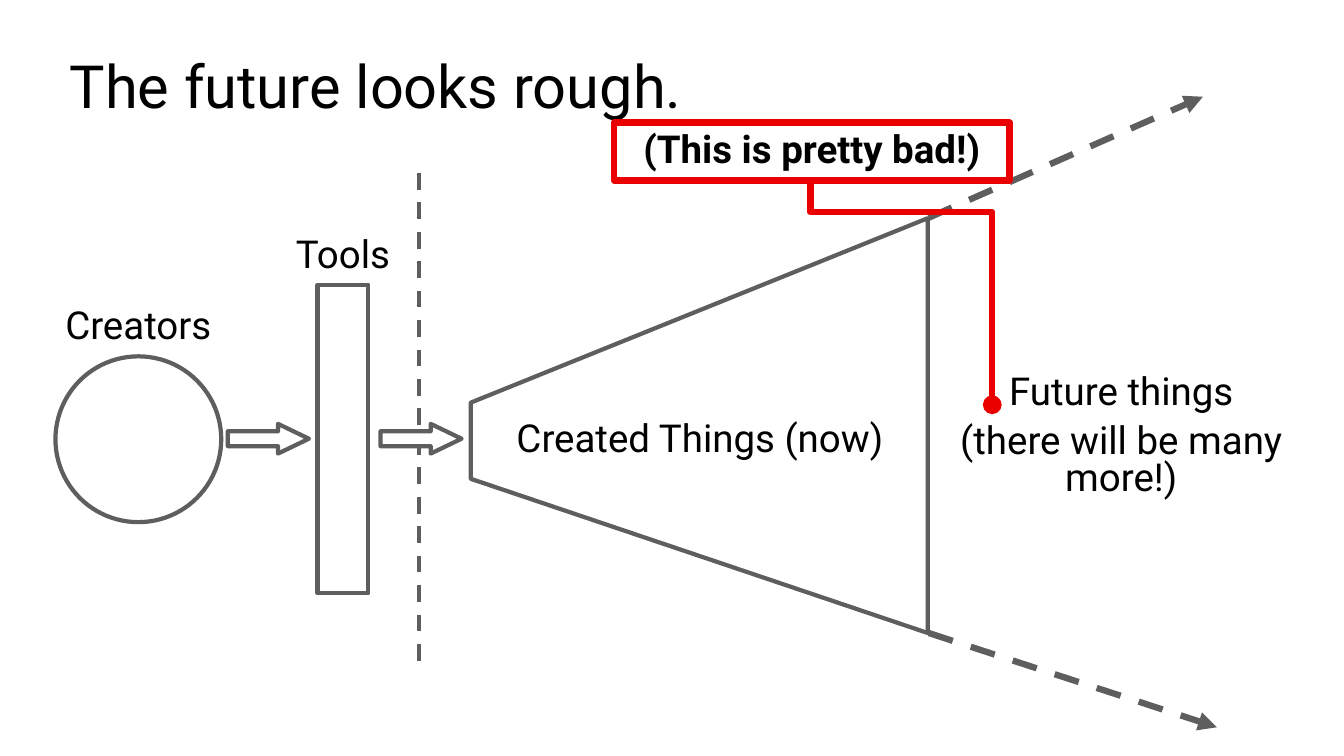
import pptx
import pptx.dml.color
import pptx.enum.dml
import pptx.enum.shapes
import pptx.enum.text
import pptx.oxml
import pptx.oxml.ns
import pptx.util

PX = 9144
GRAY = "5E5E5E"
RED = "EB0000"
BLACK = "000000"
WHITE = "FFFFFF"
Shape = pptx.enum.shapes.MSO_SHAPE
Connector = pptx.enum.shapes.MSO_CONNECTOR
Align = pptx.enum.text.PP_ALIGN
color = pptx.dml.color.RGBColor.from_string


def write(box, lines, size, align, spacing=1.0, before=0, bold=False):
    frame = box.text_frame
    frame.word_wrap = True
    frame.auto_size = pptx.enum.text.MSO_AUTO_SIZE.NONE
    frame.vertical_anchor = pptx.enum.text.MSO_ANCHOR.TOP
    frame.margin_left = frame.margin_right = 6 * PX
    frame.margin_top = frame.margin_bottom = 6 * PX
    frame.text = "\n".join(lines)
    for para in frame.paragraphs:
        para.alignment = align
        para.line_spacing = spacing
        para.space_before = pptx.util.Pt(before)
        para.font.name = "Roboto"
        para.font.size = pptx.util.Pt(size)
        para.font.bold = bold
        para.font.color.rgb = color(BLACK)


def connect(kind, points, stroke, width, dashed=False, tail=None):
    line = page.shapes.add_connector(kind, *[value * PX for value in points])
    line.line.color.rgb = color(stroke)
    line.line.width = pptx.util.Pt(width)
    if dashed:
        line.line.dash_style = pptx.enum.dml.MSO_LINE.DASH
    if tail:
        end = pptx.oxml.parse_xml(f'<a:tailEnd {pptx.oxml.ns.nsdecls("a")} type="{tail}"/>')
        line.line._get_or_add_ln().append(end)
    line._element.spPr.append(pptx.oxml.parse_xml(f'<a:effectLst {pptx.oxml.ns.nsdecls("a")}/>'))
    return line


deck = pptx.Presentation()
deck.slide_width = 2667 * PX
deck.slide_height = 1500 * PX
page = deck.slides.add_slide(deck.slide_layouts[5])
page.background.fill.solid()
page.background.fill.fore_color.rgb = color(WHITE)

title = page.shapes.title
title.left, title.top, title.width, title.height = [value * PX for value in (132, 118, 2403, 157)]
write(title, ["The future looks rough."], 85, Align.LEFT, spacing=0.8)

connect(Connector.STRAIGHT, (832, 343, 832, 1315), GRAY, 6, dashed=True)

outlines = []
for preset, bounds in [
    (Shape.RECTANGLE, (630, 565, 101, 612)),
    (Shape.OVAL, (110, 707, 329, 329)),
    (Shape.RIGHT_ARROW, (452, 841, 161, 59)),
    (Shape.RIGHT_ARROW, (755, 841, 161, 59)),
]:
    shape = page.shapes.add_shape(preset, *[value * PX for value in bounds])
    if preset == Shape.RIGHT_ARROW:
        shape.adjustments[0] = 0.5
        shape.adjustments[1] = 1.04
    outlines.append(shape)

builder = page.shapes.build_freeform(934, 799, scale=PX)
builder.add_line_segments([(934, 950), (1841, 1256), (1841, 433)], close=True)
outlines.append(builder.convert_to_shape())

for shape in outlines:
    shape.shadow.inherit = False
    shape.fill.solid()
    shape.fill.fore_color.rgb = color(WHITE)
    shape.line.color.rgb = color(GRAY)
    shape.line.width = pptx.util.Pt(6)

for points in [(1843, 432, 2387, 192), (1843, 1256, 2415, 1443)]:
    connect(Connector.STRAIGHT, points, GRAY, 9, dashed=True, tail="triangle")

for lines, bounds, spacing in [
    (["Creators"], (24, 591, 501, 115), 1.0),
    (["Tools"], (430, 450, 501, 115), 1.0),
    (["Created Things (now)"], (951, 815, 876, 115), 1.0),
    (["Future things", "(there will be many more!)"], (1875, 739, 700, 265), 0.8),
]:
    label = page.shapes.add_textbox(*[value * PX for value in bounds])
    write(label, lines, 55, Align.CENTER, spacing=spacing, before=18)

callout_line = connect(Connector.ELBOW, (2013, 398, 1564, 759), RED, 9, tail="oval")
callout_line._element.spPr.xfrm.set("rot", "16200000")
guides = callout_line._element.spPr.prstGeom.get_or_add_avLst()
guides.append(pptx.oxml.parse_xml(
    f'<a:gd {pptx.oxml.ns.nsdecls("a")} name="adj1" fmla="val 14900"/>'))

callout = page.shapes.add_shape(Shape.RECTANGLE, *[value * PX for value in (1219, 243, 784, 115)])
callout.shadow.inherit = False
callout.fill.background()
callout.line.color.rgb = color(RED)
callout.line.width = pptx.util.Pt(9)
write(callout, ["(This is pretty bad!)"], 55, Align.CENTER, before=18, bold=True)

deck.save("out.pptx")
